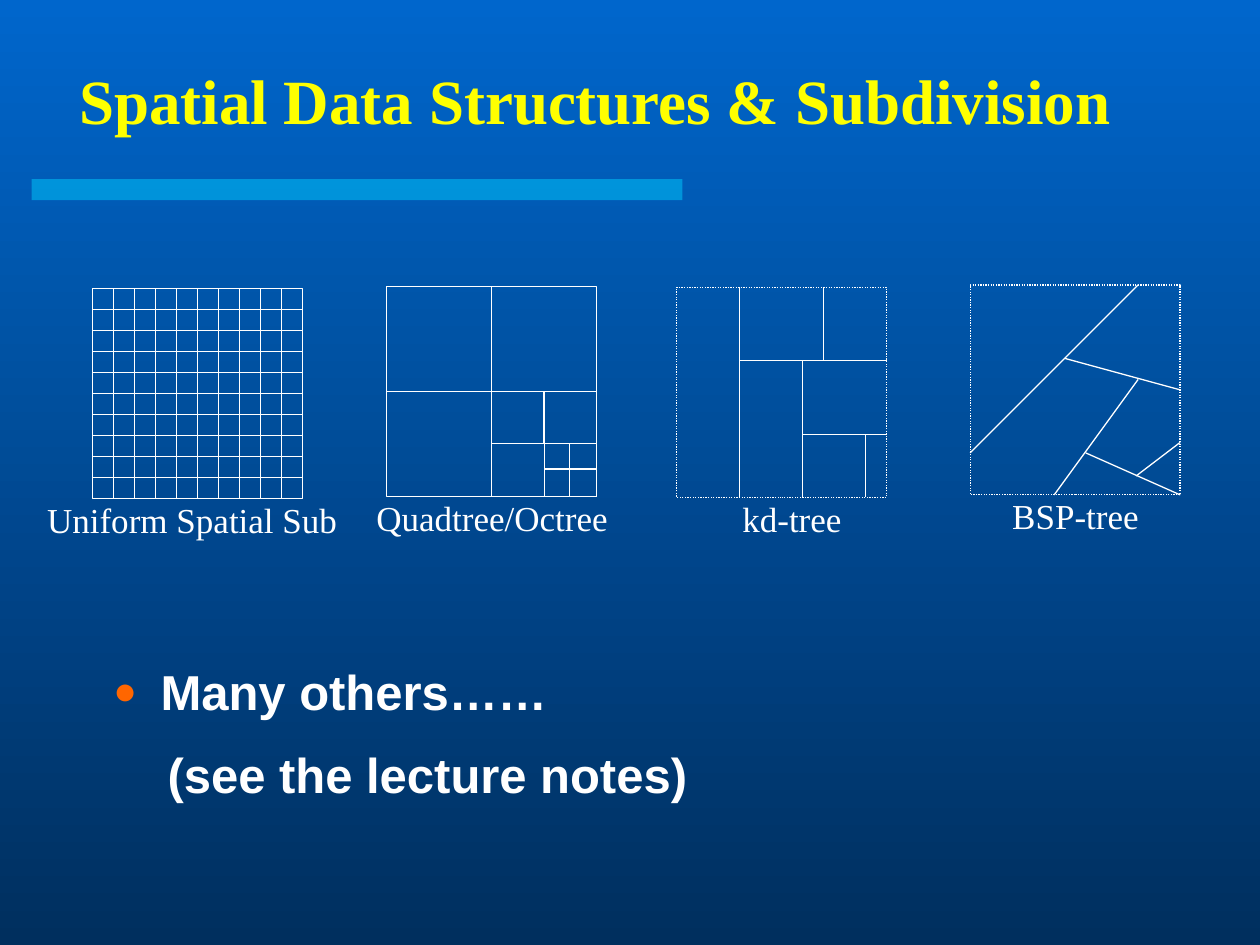
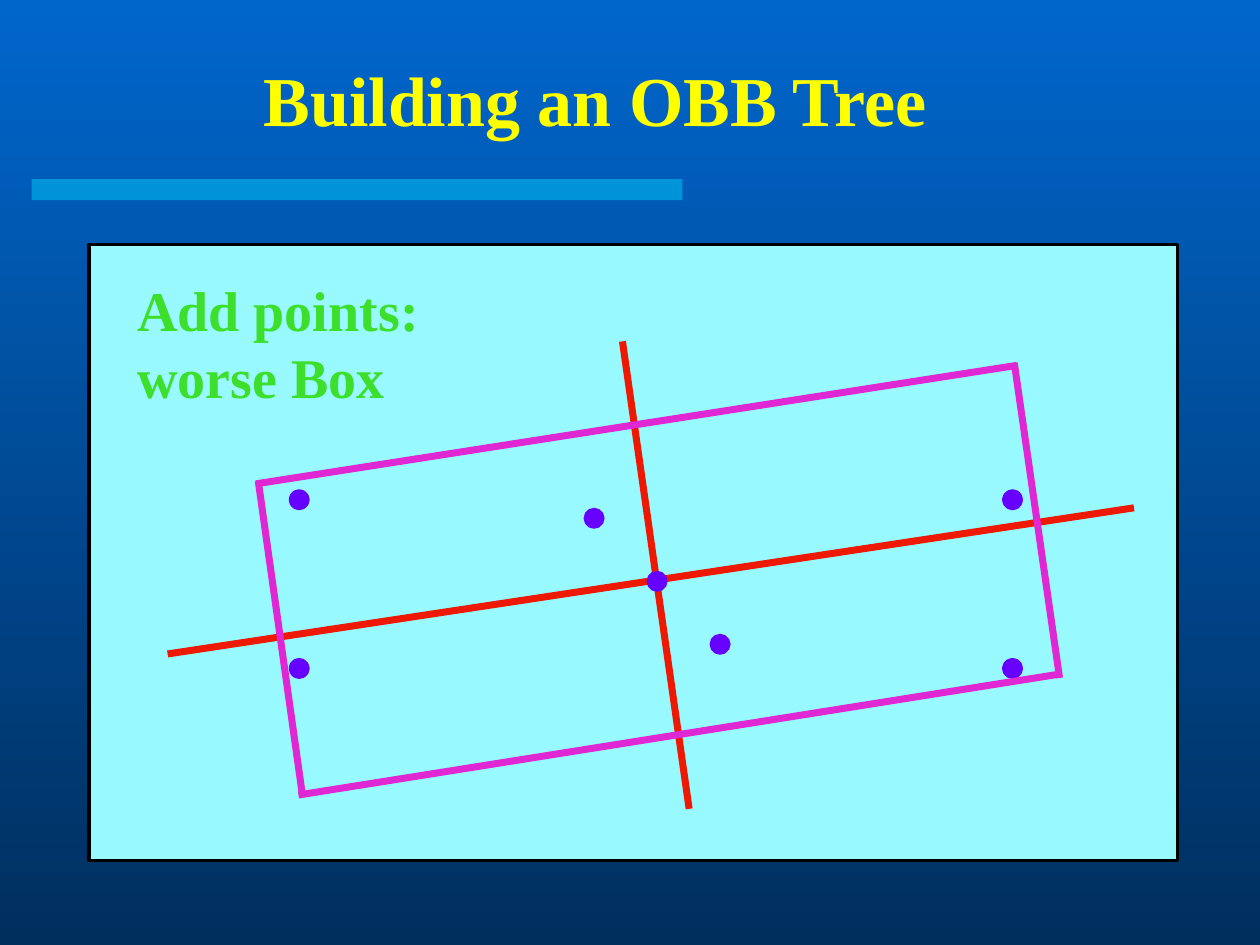
from lxml import etree
from pptx import Presentation
from pptx.dml.color import RGBColor
from pptx.enum.dml import MSO_LINE
from pptx.enum.shapes import MSO_CONNECTOR, MSO_SHAPE
from pptx.enum.text import MSO_ANCHOR, MSO_AUTO_SIZE, PP_ALIGN
from pptx.oxml.ns import qn
from pptx.util import Pt

RECT, OVAL = MSO_SHAPE.RECTANGLE, MSO_SHAPE.OVAL
LINE, DOTS = MSO_CONNECTOR.STRAIGHT, MSO_LINE.ROUND_DOT
LEFT, MID = PP_ALIGN.LEFT, PP_ALIGN.CENTER
SERIF, SANS = "Times New Roman", "Arial"
HUES = {
    "top": "0066CC", "base": "002F5E", "band": "00CCFF", "title": "FFFF00",
    "white": "FFFFFF", "bullet": "FF6600", "panel": "98FAFF", "black": "000000",
    "green": "3DDE2C", "axis": "ED1903", "box": "DF27D4", "point": "6600FF",
}

SIDE = 120
STEPS = 10
GRID = [line for k in range(1, STEPS)
        for line in ((k / STEPS, 0, k / STEPS, 1), (0, k / STEPS, 1, k / STEPS))]
TREES = [
    {"name": "Uniform Spatial Sub", "at": (52.8, 165), "label": (10.8, 198),
     "dots": False, "cells": [], "cuts": GRID},
    {"name": "Quadtree/Octree", "at": (221, 163.6), "label": (203.8, 154.8),
     "dots": False,
     "cells": [(0, 0, .5), (.5, .5, .5), (.5, .5, .25), (.75, .75, .25)],
     "cuts": [(.87, .75, .87, 1), (.75, .87, 1, .87)]},
    {"name": "kd-tree", "at": (386.6, 164.2), "label": (380.6, 144),
     "dots": True, "cells": [],
     "cuts": [(.3, 0, .3, 1), (.3, .35, 1, .35), (.7, .35, .7, 0),
              (.6, .35, .6, 1), (.6, .7, 1, .7), (.9, .7, .9, 1)]},
    {"name": "BSP-tree", "at": (554.4, 162.8), "label": (542.6, 144),
     "dots": True, "cells": [],
     "cuts": [(0, .8, .8, 0), (.45, .35, 1, .5), (.8, .45, .4, 1),
              (1, 1, .55, .8), (.79, .91, 1, .75)]},
]
NOTES = [("Many others……", 27, -27, True),
         ("(see the lecture notes)", 31, 0, False)]

ADVICE = ["Add points:", "worse Box"]
AXES = [(648, 290.2, 95.8, 373.7), (355.7, 195.1, 393.8, 462.2)]
EDGES = [(146.2, 276.5, 581, 208.8), (147.6, 275, 172.8, 454.3),
         (170.6, 454.3, 605.5, 385.2), (579.6, 207.4, 605.5, 387.4)]
OUTER = [(x, y) for x in (171, 578.6) for y in (285.6, 382)]
INNER = [(375.5 + k * 36, 332.2 + k * 36) for k in (-1, 0, 1)]


def hue(name):
    return RGBColor.from_string(HUES[name])


def shape(slide, kind, box, fill=None, edge=None, width=.75):
    item = slide.shapes.add_shape(kind, *map(Pt, box))
    item.shadow.inherit = False
    if fill:
        item.fill.solid()
        item.fill.fore_color.rgb = hue(fill)
    else:
        item.fill.background()
    if edge:
        item.line.color.rgb = hue(edge)
        item.line.width = Pt(width)
    else:
        item.line.fill.background()
    return item


def draw(slide, ends, color, width):
    item = slide.shapes.add_connector(LINE, *map(Pt, ends))
    item.line.color.rgb = hue(color)
    item.line.width = Pt(width)
    etree.SubElement(item._element.spPr, qn("a:effectLst"))


def place(item, box):
    item.left, item.top, item.width, item.height = map(Pt, box)


def write(para, text, size, color, font=SERIF, bold=False, align=LEFT):
    para.alignment = align
    para.space_before = Pt(0)
    run = para.add_run()
    run.text = text
    run.font.size = Pt(size)
    run.font.name = font
    run.font.bold = bold
    run.font.color.rgb = hue(color)


def mark(para, left, hang, dot):
    props = para._p.get_or_add_pPr()
    props.set("marL", str(Pt(left)))
    props.set("indent", str(Pt(hang)))
    if not dot:
        etree.SubElement(props, qn("a:buNone"))
        return
    tint = etree.SubElement(props, qn("a:buClr"))
    etree.SubElement(tint, qn("a:srgbClr"), val=HUES["bullet"])
    etree.SubElement(props, qn("a:buSzPct"), val="80000")
    etree.SubElement(props, qn("a:buFont"), typeface=SANS)
    etree.SubElement(props, qn("a:buChar"), char="●")


def start(deck, layout, title, size):
    slide = deck.slides.add_slide(deck.slide_layouts.get_by_name(layout))
    band = shape(slide, RECT, (18, 102.4, 372, 12), "band")
    tint = band._element.spPr.find(qn("a:solidFill"))[0]
    etree.SubElement(tint, qn("a:alpha"), val="50000")
    head = slide.shapes.title
    place(head, (21, 23, 638, 67))
    head.text_frame.auto_size = MSO_AUTO_SIZE.NONE
    head.text_frame.vertical_anchor = MSO_ANCHOR.MIDDLE
    write(head.text_frame.paragraphs[0], title, size, "title", bold=True, align=MID)
    return slide


def text_box(slide, box, lines, size, color, bold, align, wrap):
    frame = slide.shapes.add_textbox(*map(Pt, box)).text_frame
    frame.word_wrap = wrap
    for k, line in enumerate(lines):
        para = frame.add_paragraph() if k else frame.paragraphs[0]
        write(para, line, size, color, bold=bold, align=align)


def add_tree(slide, tree):
    left, top = tree["at"]
    frame = shape(slide, RECT, (left, top, SIDE, SIDE), edge="white")
    if tree["dots"]:
        frame.line.dash_style = DOTS
    for x, y, size in tree["cells"]:
        box = (left + x * SIDE, top + y * SIDE, size * SIDE, size * SIDE)
        shape(slide, RECT, box, edge="white")
    for x1, y1, x2, y2 in tree["cuts"]:
        ends = (left + x1 * SIDE, top + y1 * SIDE, left + x2 * SIDE, top + y2 * SIDE)
        draw(slide, ends, "white", .75)
    x, width = tree["label"]
    text_box(slide, (x, top + 116.5, width, 31.7), [tree["name"]],
             20, "white", False, MID, True)


def add_trees(deck):
    slide = start(deck, "Title and Content", "Spatial Data Structures & Subdivision", 36)
    body = slide.placeholders[1]
    place(body, (57.6, 374.4, 612, 118.8))
    frame = body.text_frame
    frame.auto_size = MSO_AUTO_SIZE.NONE
    for k, (text, left, hang, dot) in enumerate(NOTES):
        para = frame.add_paragraph() if k else frame.paragraphs[0]
        mark(para, left, hang, dot)
        write(para, text, 28, "white", SANS, True)
        para.space_before = Pt(7 if k else 0)
        para.space_after = Pt(7)
    for tree in TREES:
        add_tree(slide, tree)


def add_points(deck):
    slide = start(deck, "Title Only", "Building an OBB Tree", 40)
    shape(slide, RECT, (51, 139.8, 622, 352), "panel", "black", 2)
    text_box(slide, (71.3, 154, 175.7, 84.2), ADVICE, 32, "green", True, LEFT, False)
    for ends in AXES:
        draw(slide, ends, "axis", 4)
    for spots, size, width in ((OUTER, 8, 4), (INNER, 11, 1)):
        for x, y in spots:
            box = (x - size / 2, y - size / 2, size, size)
            shape(slide, OVAL, box, "point", "point", width)
    for ends in EDGES:
        draw(slide, ends, "box", 4)


def main():
    deck = Presentation()
    deck.slide_width, deck.slide_height = Pt(720), Pt(540)
    fill = deck.slide_master.background.fill
    fill.gradient()
    fill.gradient_angle = 270
    for stop, name, spot in zip(fill.gradient_stops, ("top", "base"), (0, 1)):
        stop.color.rgb = hue(name)
        stop.position = spot
    add_trees(deck)
    add_points(deck)
    deck.save("out.pptx")


if __name__ == "__main__":
    main()
